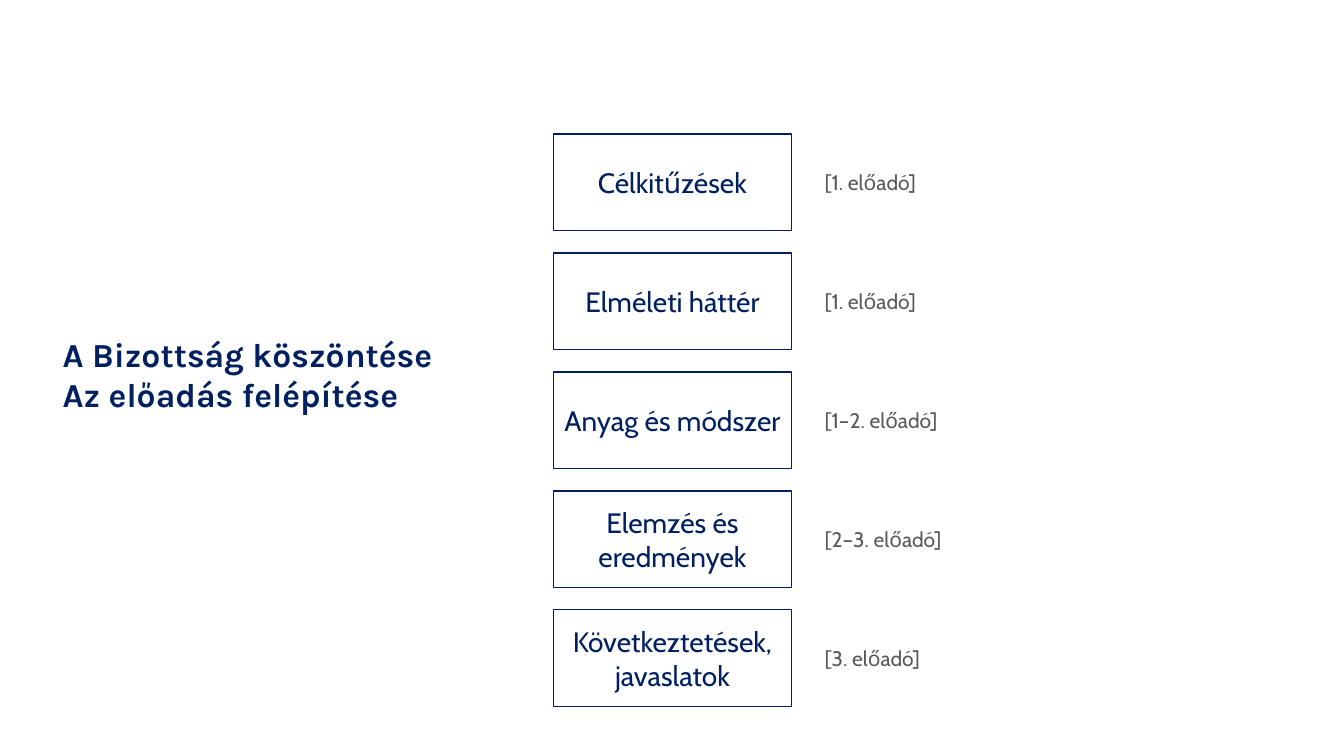
from pptx import Presentation
from pptx.dml.color import RGBColor
from pptx.enum.shapes import MSO_SHAPE as SHAPE
from pptx.enum.text import MSO_ANCHOR as ANCHOR, MSO_AUTO_SIZE as AUTO, PP_ALIGN as ALIGN
from pptx.util import Inches, Pt

NAVY, GREY, WHITE = "002060", "595959", "FFFFFF"
TOPICS = [
    ("Célkitűzések", "[1. előadó]"),
    ("Elméleti háttér", "[1. előadó]"),
    ("Anyag és módszer", "[1–2. előadó]"),
    ("Elemzés és eredmények", "[2–3. előadó]"),
    ("Következtetések, javaslatok", "[3. előadó]"),
]


def rgb(value):
    return RGBColor.from_string(value)


def place(sp, left, top, width, height):
    sp.left, sp.top = Inches(left), Inches(top)
    sp.width, sp.height = Inches(width), Inches(height)


def write(tf, text, font, size, color, align, anchor, inset_x, inset_y, bold=False):
    tf.word_wrap = True
    tf.auto_size = AUTO.NONE
    tf.vertical_anchor = anchor
    tf.margin_left = tf.margin_right = Inches(inset_x)
    tf.margin_top = tf.margin_bottom = Inches(inset_y)
    tf.text = text
    for p in tf.paragraphs:
        p.alignment = align
        p.font.name = font
        p.font.size = Pt(size)
        p.font.bold = bold
        p.font.color.rgb = rgb(color)


def add_title(s, left, top, width, height):
    sp = s.shapes.title
    place(sp, left, top, width, height)
    write(sp.text_frame, "A Bizottság köszöntése\nAz előadás felépítése",
          "Karla", 24, NAVY, ALIGN.LEFT, ANCHOR.TOP, 0.1, 0.05, bold=True)


def add_topic(s, topic, speaker, left, top, width, height):
    box_width, label_offset = 2.36, 2.61
    sp = s.shapes.add_shape(SHAPE.RECTANGLE, Inches(left), Inches(top),
                            Inches(box_width), Inches(height))
    sp.shadow.inherit = False
    sp.fill.solid()
    sp.fill.fore_color.rgb = rgb(WHITE)
    sp.line.color.rgb = rgb(NAVY)
    sp.line.width = Pt(1)
    write(sp.text_frame, topic, "Cabin", 20, NAVY, ALIGN.CENTER, ANCHOR.MIDDLE, 0, 0)

    label = s.shapes.add_textbox(Inches(left + label_offset), Inches(top),
                                 Inches(width - label_offset), Inches(height))
    write(label.text_frame, speaker, "Cabin", 15, GREY, ALIGN.LEFT, ANCHOR.MIDDLE, 0.08, 0.08)


def add_agenda(s, left, top, width, height):
    row_height = 0.96
    pitch = (height - row_height) / (len(TOPICS) - 1)
    for i, (topic, speaker) in enumerate(TOPICS):
        add_topic(s, topic, speaker, left, top + i * pitch, width, row_height)


def main():
    prs = Presentation()
    prs.slide_width, prs.slide_height = Inches(13.33), Inches(7.5)
    s = prs.slides.add_slide(prs.slide_layouts[5])
    s.background.fill.solid()
    s.background.fill.fore_color.rgb = rgb(WHITE)
    add_title(s, 0.52, 3.26, 6.15, 0.91)
    add_agenda(s, 5.49, 1.33, 6.11, 5.68)
    prs.save("out.pptx")


if __name__ == "__main__":
    main()
